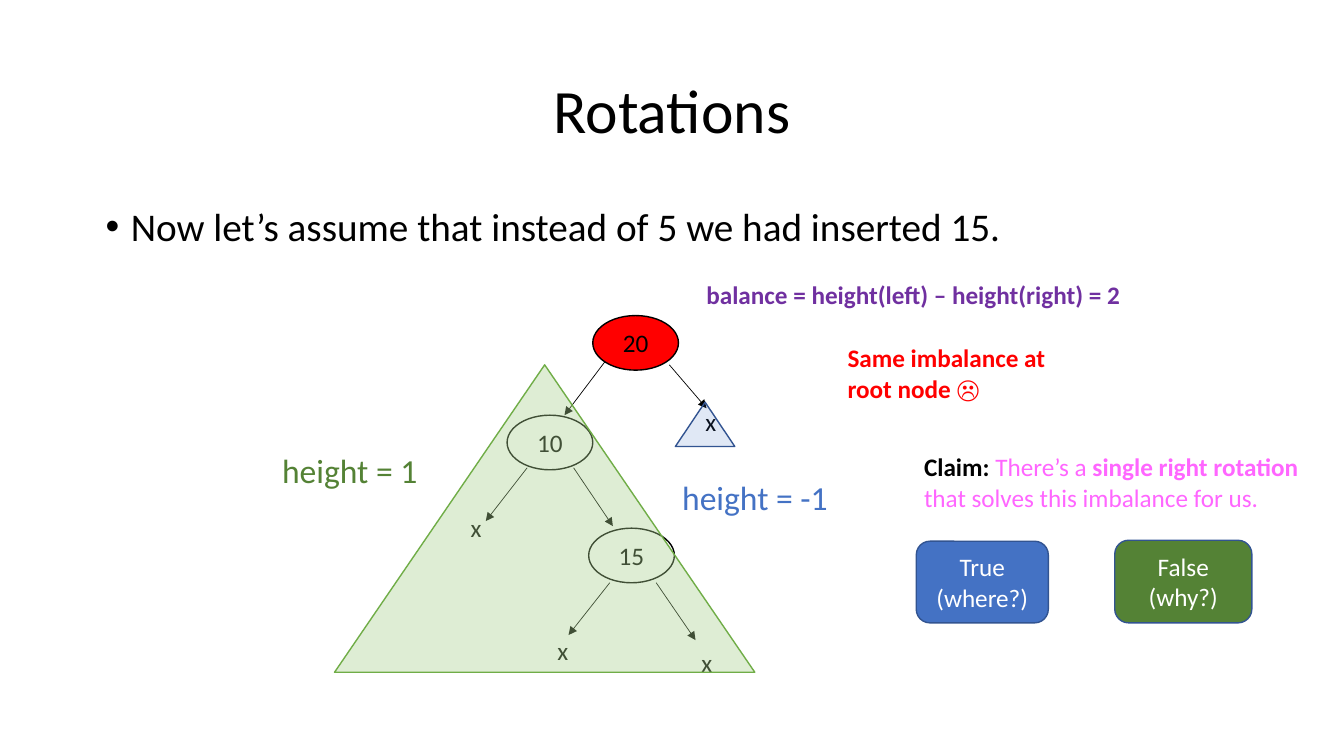
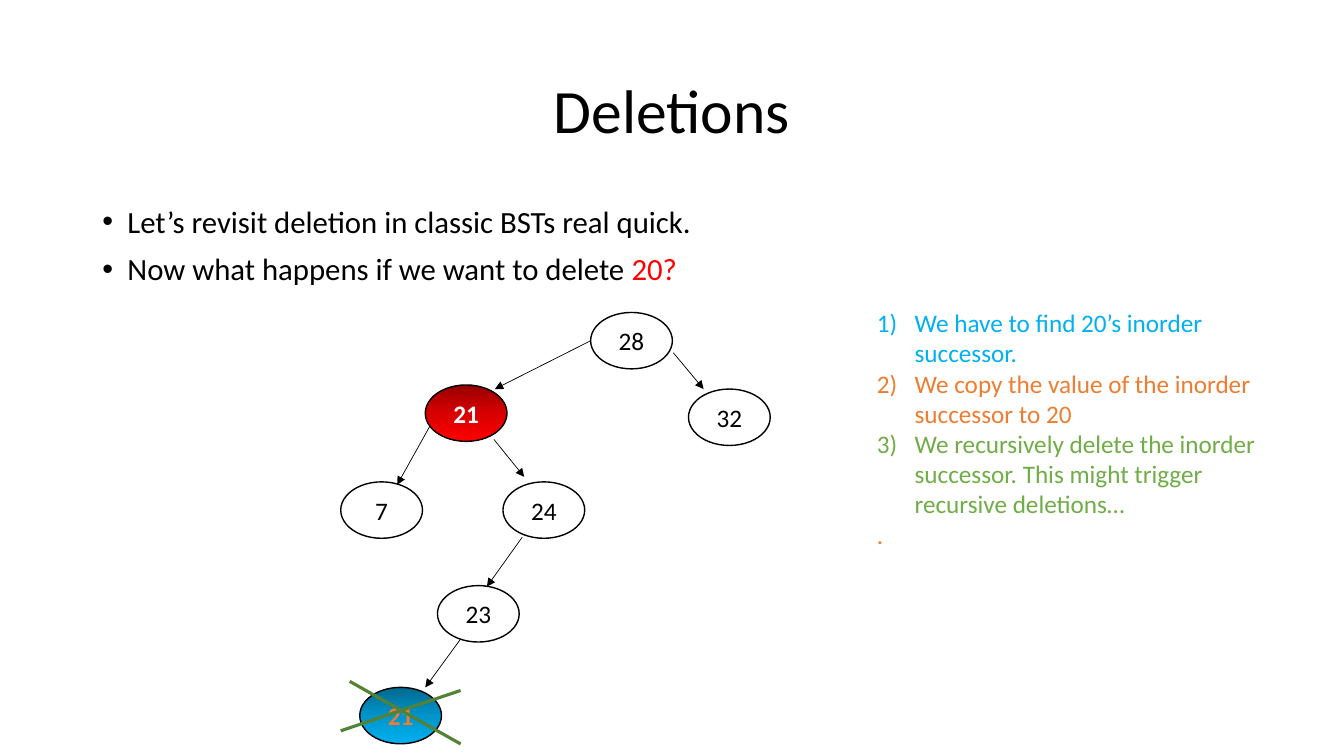
from copy import deepcopy
from dataclasses import dataclass
from typing import NamedTuple, Optional

from lxml import etree
from pptx import Presentation
from pptx.dml.color import RGBColor
from pptx.enum.shapes import MSO_CONNECTOR, MSO_SHAPE
from pptx.enum.text import MSO_ANCHOR, PP_ALIGN
from pptx.oxml.ns import qn
from pptx.util import Pt

OVAL, TRIANGLE = MSO_SHAPE.OVAL, MSO_SHAPE.ISOSCELES_TRIANGLE
ROUNDED = MSO_SHAPE.ROUNDED_RECTANGLE
STRAIGHT = MSO_CONNECTOR.STRAIGHT
CENTER, LEFT = PP_ALIGN.CENTER, PP_ALIGN.LEFT
MIDDLE, TOP = MSO_ANCHOR.MIDDLE, MSO_ANCHOR.TOP

FONT = "Calibri"
COLORS = {
    "black": "000000", "white": "FFFFFF", "red": "FF0000", "purple": "7030A0",
    "pink": "FF66FF", "blue": "4472C4", "navy": "325491", "sky": "00B0F0",
    "orange": "ED7D31", "green": "70AD47", "dark green": "548235",
    "pale green": "A9D18E", "deep sky": "00688E", "mid sky": "0094CA",
    "deep red": "970000", "mid red": "D70000",
}
RED_FADE = ("deep red", "mid red", "red")
SKY_FADE = ("deep sky", "mid sky", "sky")


class Box(NamedTuple):
    left: float
    top: float
    width: float
    height: float


class Edge(NamedTuple):
    x1: float
    y1: float
    x2: float
    y2: float


class Run(NamedTuple):
    text: str
    color: Optional[str] = None
    bold: Optional[bool] = None


@dataclass
class Para:
    text: str = ""
    size: float = 18
    color: str = "black"
    bold: bool = False
    runs: tuple[Run, ...] = ()
    bullet: str = ""  # "dot" or "number"
    line_spacing: Optional[float] = None
    space_before: float = 0


@dataclass
class Node:
    label: str
    left: float
    top: float
    fill: object = None
    color: str = "black"
    bold: bool = False


TITLE_BOX = Box(66, 29, 828, 104.5)
X_SIZE = (22.3, 28.8)


def rgb(name: str) -> RGBColor:
    return RGBColor.from_string(COLORS[name])


def points(values: tuple) -> list:
    return [Pt(value) for value in values]


def add_bullet(paragraph, kind: str) -> None:
    indent = Pt(18 if kind == "dot" else 27)
    props = paragraph._p.get_or_add_pPr()
    props.set("marL", str(indent))
    props.set("indent", str(-indent))
    if kind == "dot":
        etree.SubElement(props, qn("a:buFont")).set("typeface", "Arial")
        etree.SubElement(props, qn("a:buChar")).set("char", "•")
    else:
        etree.SubElement(props, qn("a:buAutoNum")).set("type", "arabicParenR")


def write(frame, paras: list[Para], align=LEFT, anchor=TOP) -> None:
    frame.word_wrap = True
    frame.vertical_anchor = anchor
    for index, para in enumerate(paras):
        paragraph = frame.paragraphs[0] if index == 0 else frame.add_paragraph()
        paragraph.alignment = align
        if para.line_spacing:
            paragraph.line_spacing = para.line_spacing
        if index and para.space_before:
            paragraph.space_before = Pt(para.space_before)
        if para.bullet:
            add_bullet(paragraph, para.bullet)
        font = paragraph.font
        font.name, font.size, font.bold = FONT, Pt(para.size), para.bold
        font.color.rgb = rgb(para.color)
        if para.text:
            paragraph.text = para.text
        for part in para.runs:
            run = paragraph.add_run()
            run.text = part.text
            if part.bold is not None:
                run.font.bold = part.bold
            if part.color:
                run.font.color.rgb = rgb(part.color)


def add_text(slide, box: Box, *paras: Para) -> None:
    write(slide.shapes.add_textbox(*points(box)).text_frame, list(paras))


def paint(fill, color, alpha: Optional[int], shape) -> None:
    if color is None:
        fill.background()
    elif isinstance(color, tuple):
        fill.gradient()
        fill.gradient_angle = 270
        stop_list = shape._element.spPr.find(".//" + qn("a:gsLst"))
        stop_list.append(deepcopy(stop_list[-1]))
        for index, (stop, name) in enumerate(zip(fill.gradient_stops, color)):
            stop.position = index / 2
            stop.color.rgb = rgb(name)
    else:
        fill.solid()
        fill.fore_color.rgb = rgb(color)
        if alpha:
            tint = shape._element.spPr.find(qn("a:solidFill"))[0]
            etree.SubElement(tint, qn("a:alpha")).set("val", str(alpha * 1000))


def add_shape(slide, kind, box: Box, fill=None, line: str = "black",
              alpha: Optional[int] = None, paras: tuple[Para, ...] = ()) -> None:
    shape = slide.shapes.add_shape(kind, *points(box))
    shape.shadow.inherit = False
    paint(shape.fill, fill, alpha, shape)
    shape.line.color.rgb = rgb(line)
    shape.line.width = Pt(1)
    write(shape.text_frame, list(paras), CENTER, MIDDLE)


def add_node(slide, node: Node, size: tuple[float, float]) -> None:
    label = Para(node.label, color=node.color, bold=node.bold)
    add_shape(slide, OVAL, Box(node.left, node.top, *size), node.fill, paras=(label,))


def add_line(slide, edge: Edge, color: str = "black", width: float = 0.5,
             arrow: bool = True) -> None:
    connector = slide.shapes.add_connector(STRAIGHT, *points(edge))
    connector.line.color.rgb = rgb(color)
    connector.line.width = Pt(width)
    if arrow:
        outline = connector.line._get_or_add_ln()
        etree.SubElement(outline, qn("a:tailEnd")).set("type", "triangle")
    etree.SubElement(connector._element.spPr, qn("a:effectLst"))


def add_titled_slide(prs, title: str):
    slide = prs.slides.add_slide(prs.slide_layouts[5])
    heading = slide.shapes.title
    heading.left, heading.top, heading.width, heading.height = points(TITLE_BOX)
    write(heading.text_frame, [Para(title, size=44, line_spacing=0.9)], CENTER, MIDDLE)
    return slide


def bullet_para(size: float, *runs: Run) -> Para:
    return Para(runs=runs, size=size, bullet="dot", line_spacing=0.9, space_before=10)


def build_rotations(prs) -> None:
    slide = add_titled_slide(prs, "Rotations")
    add_text(slide, Box(68.4, 144.7, 828, 342.7), bullet_para(
        28, Run("Now let’s assume that instead of 5 we had inserted 15.")))

    # Tree: edges, inner nodes, empty children
    node_size = (61.2, 39)
    for edge in (
        Edge(432, 258.5, 403.2, 296.6), Edge(478.1, 260.6, 504.7, 291.6),
        Edge(376.6, 334.1, 347, 372.2), Edge(409.7, 334.1, 437.8, 375.8),
        Edge(435.6, 416.2, 406.1, 453.6), Edge(468.7, 416.2, 496.8, 457.2),
    ):
        add_line(slide, edge)
    for node in (Node("10", 362.2, 296.6), Node("15", 420.5, 377.3)):
        add_node(slide, node, node_size)
    for corner in ((496.8, 286.6), (391, 450), (493.9, 458.6), (329, 362.2)):
        add_text(slide, Box(*corner, *X_SIZE), Para("x"))

    # Subtree overlays and root
    add_shape(slide, TRIANGLE, Box(239, 260.6, 300.2, 219.6), "pale green", "green", 38)
    add_node(slide, Node("20", 423.4, 225.4, "red"), node_size)
    add_shape(slide, TRIANGLE, Box(482.4, 287.3, 42.5, 31.7), "blue", "navy", 16)

    # Annotations
    add_text(slide, Box(598.3, 241.2, 169.9, 51.1),
             Para("Same imbalance at root node ☹", color="red", bold=True))
    add_text(slide, Box(497.5, 195.8, 360, 28.8),
             Para("balance = height(left) – height(right) = 2", color="purple", bold=True))
    add_text(slide, Box(194.4, 317.5, 132.5, 36),
             Para("height = 1", size=24, color="dark green"))
    add_text(slide, Box(480.2, 337, 132.5, 36),
             Para("height = -1", size=24, color="blue"))
    add_text(slide, Box(653, 319, 283, 51.1), Para(color="pink", runs=(
        Run("Claim: ", "black", True), Run("There’s a "),
        Run("single right rotation ", bold=True),
        Run("that solves this imbalance for us."))))

    # Answer buttons
    add_shape(slide, ROUNDED, Box(654.5, 386.6, 94.3, 58.3), "blue", "navy",
              paras=(Para("True", color="white"), Para("(where?)", color="white")))
    add_shape(slide, ROUNDED, Box(796.3, 385.9, 97.9, 59), "dark green", "navy",
              paras=(Para("False\v(why?)", color="white"),))


def build_deletions(prs) -> None:
    slide = add_titled_slide(prs, "Deletions")
    add_text(slide, Box(66, 144, 828, 342.7),
             bullet_para(22, Run("Let’s revisit deletion in classic BSTs real quick.")),
             bullet_para(22, Run("Now what happens if we want to delete "),
                         Run("20?", "red")))

    # Tree
    for edge in (
        Edge(421.9, 243.4, 353.5, 277.9), Edge(307.4, 303.8, 283.7, 346.3),
        Edge(352.8, 313.9, 374.4, 340.6), Edge(481, 252, 502.6, 277.9),
        Edge(373, 383.8, 347.8, 419), Edge(329, 456.5, 303.8, 491),
    ):
        add_line(slide, edge)
    for node in (
        Node("28", 421.9, 223.2), Node("7", 243.4, 344.2), Node("32", 491.8, 277.9),
        Node("24", 359.3, 344.2), Node("23", 312.5, 418.3),
        Node("21", 257, 491, SKY_FADE, "orange", True),
        Node("21", 303.8, 275, RED_FADE, "white", True),
    ):
        add_node(slide, node, (58.4, 40.3))

    # Cross over the deleted successor
    for stroke in (Edge(249.8, 486.7, 329, 531.4), Edge(243.4, 522, 329, 493.2)):
        add_line(slide, stroke, "dark green", 2.25, arrow=False)

    # Steps
    steps = (
        ("We have to find 20’s inorder successor.", "sky"),
        ("We copy the value of the inorder successor to 20", "orange"),
        ("We recursively delete the inorder successor. "
         "This might trigger recursive deletions…", "green"),
    )
    add_text(slide, Box(619.2, 216, 298, 203.8),
             *(Para(text, color=color, bullet="number") for text, color in steps),
             Para(".", color="orange"))


def main() -> None:
    prs = Presentation()
    prs.slide_width, prs.slide_height = Pt(960), Pt(540)
    build_rotations(prs)
    build_deletions(prs)
    prs.save("out.pptx")


if __name__ == "__main__":
    main()
